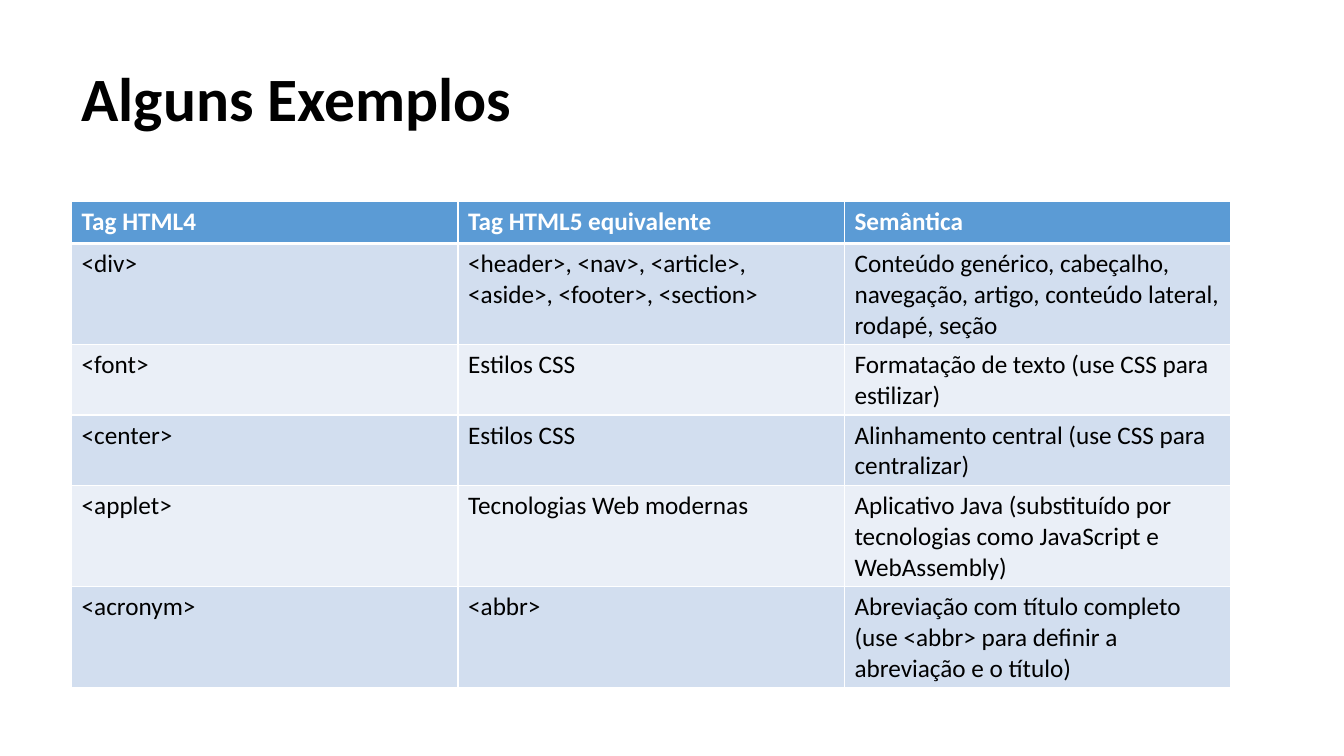
from lxml import etree
from pptx import Presentation
from pptx.dml.color import RGBColor
from pptx.enum.text import MSO_ANCHOR
from pptx.oxml.ns import qn
from pptx.util import Inches, Pt

MIDDLE = MSO_ANCHOR.MIDDLE

COLORS = {
    "ink": "000000",
    "white": "FFFFFF",
    "head": "5B9BD5",
    "odd": "D2DEEF",
    "even": "EAEFF7",
}

TAGS = [
    ("Tag HTML4", "Tag HTML5 equivalente", "Semântica"),
    ("<div>", "<header>, <nav>, <article>, <aside>, <footer>, <section>",
     "Conteúdo genérico, cabeçalho, navegação, artigo, conteúdo lateral, rodapé, seção"),
    ("<font>", "Estilos CSS", "Formatação de texto (use CSS para estilizar)"),
    ("<center>", "Estilos CSS", "Alinhamento central (use CSS para centralizar)"),
    ("<applet>", "Tecnologias Web modernas",
     "Aplicativo Java (substituído por tecnologias como JavaScript e WebAssembly)"),
    ("<acronym>", "<abbr>",
     "Abreviação com título completo (use <abbr> para definir a abreviação e o título)"),
]


def color(name):
    return RGBColor.from_string(COLORS[name])


class Deck:
    """Holds the style and the current slide; lengths are grid units."""

    font = "Calibri"
    left = 0.71
    col = 11.5 / 3
    row = 2.5 / 6

    def __init__(self):
        self.file = Presentation()
        self.file.slide_width = Inches(13.33)
        self.file.slide_height = Inches(7.5)
        self.slide = self.file.slides.add_slide(self.file.slide_layouts[6])

    def box(self, top, cols, rows):
        """Turn a top edge in inches and a span of cells into a frame."""
        return (Inches(self.left), Inches(top),
                Inches(cols * self.col), Inches(rows * self.row))

    def text(self, frame, words, size=18, ink="ink", bold=False, space=1.0):
        para = frame.paragraphs[0]
        para.line_spacing = space
        run = para.add_run()
        run.text = words
        run.font.name = self.font
        run.font.size = Pt(size)
        run.font.bold = bold
        run.font.color.rgb = color(ink)

    def title(self, words):
        frame = self.slide.shapes.add_textbox(*self.box(0.28, 3, 3.48)).text_frame
        frame.word_wrap = True
        frame.vertical_anchor = MIDDLE
        self.text(frame, words, size=44, bold=True, space=0.9)

    def edge(self, cell, **widths):
        """Draw white cell borders, with widths in points by side."""
        props = cell._tc.get_or_add_tcPr()
        for spot, (side, width) in enumerate(widths.items()):
            line = etree.Element(qn("a:ln" + side), w=str(Pt(width)))
            fill = etree.SubElement(line, qn("a:solidFill"))
            etree.SubElement(fill, qn("a:srgbClr"), val=COLORS["white"])
            props.insert(spot, line)

    def table(self, data):
        rows, cols = len(data), len(data[0])
        grid = self.slide.shapes.add_table(rows, cols, *self.box(2, cols, rows)).table
        for r, line in enumerate(data):
            head = r == 0
            fill = "head" if head else "odd" if r % 2 else "even"
            for c, words in enumerate(line):
                cell = grid.cell(r, c)
                cell.fill.solid()
                cell.fill.fore_color.rgb = color(fill)
                self.edge(cell, L=1, R=1, T=3 if r == 1 else 1, B=3 if head else 1)
                self.text(cell.text_frame, words, bold=head,
                          ink="white" if head else "ink")


def main():
    deck = Deck()
    deck.title("Alguns Exemplos")
    deck.table(TAGS)
    deck.file.save("out.pptx")


if __name__ == "__main__":
    main()
